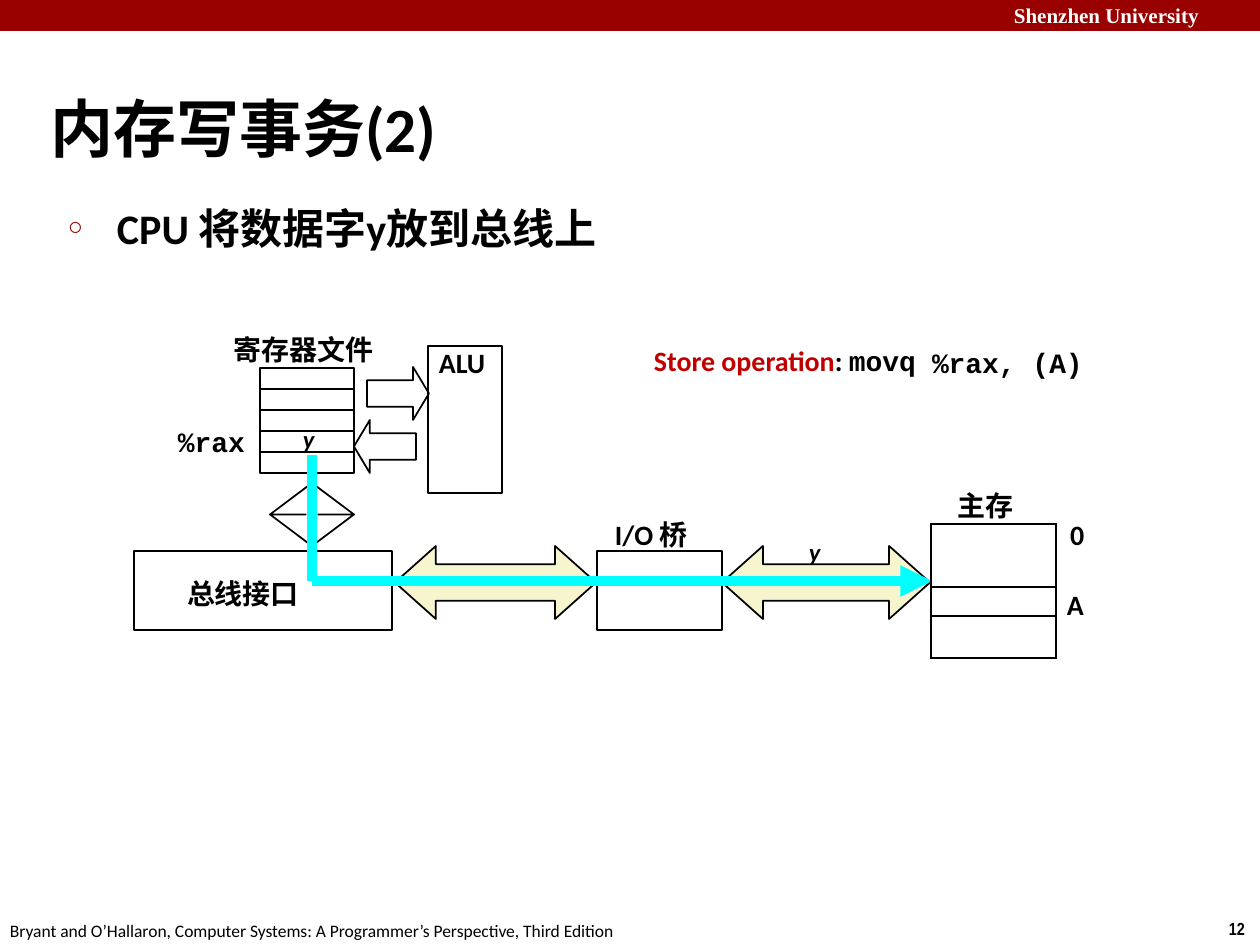
from lxml.etree import SubElement
from pptx import Presentation
from pptx.dml.color import RGBColor
from pptx.enum.shapes import MSO_CONNECTOR, MSO_SHAPE
from pptx.enum.text import MSO_ANCHOR, MSO_AUTO_SIZE, PP_ALIGN
from pptx.oxml import parse_xml
from pptx.oxml.ns import nsdecls, qn
from pptx.util import Emu, Pt

BLACK, WHITE, RED, CYAN, CREAM = "000000", "FFFFFF", "990000", "00FFFF", "F7F5CD"
CODE = "Courier New"


def px(length):
    return Emu(round(length * 914400 / 126))


def colour(value):
    return RGBColor.from_string(value)


class SlideBuilder:
    """Holds the style and the current slide, with a method for each kind of element."""

    def __init__(self, deck):
        self.font = "Calibri"
        self.page = deck.slides.add_slide(deck.slide_layouts[1])

    def place(self, box, left, top, width, height):
        box.left, box.top, box.width, box.height = map(px, (left, top, width, height))

    def frame(self, box, left=0, top=0, anchor=MSO_ANCHOR.TOP, wrap=True):
        frame = box.text_frame
        frame.auto_size = MSO_AUTO_SIZE.NONE
        frame.word_wrap = wrap
        frame.vertical_anchor = anchor
        frame.margin_left, frame.margin_top = px(left), px(top)
        frame.margin_right = frame.margin_bottom = 0
        return frame

    def set_text(self, para, text, size=16, font=None, fill=BLACK, bold=True, italic=False):
        para.text = text
        para.alignment = PP_ALIGN.LEFT
        para.space_before = Pt(0)
        para.font.name = font or self.font
        para.font.size = Pt(size)
        para.font.bold = bold
        para.font.italic = italic
        para.font.color.rgb = colour(fill)

    def title(self, text, *area):
        box = self.page.shapes.title
        self.place(box, *area)
        frame = self.frame(box, top=30, anchor=MSO_ANCHOR.MIDDLE)
        self.set_text(frame.paragraphs[0], text, size=36)

    def bullet(self, text, *area):
        box = self.page.placeholders[1]
        self.place(box, *area)
        para = self.frame(box).paragraphs[0]
        properties = para._p.get_or_add_pPr()
        properties.set("marL", str(px(51)))
        properties.set("indent", str(-px(49)))
        marker = SubElement(properties, qn("a:buClr"))
        SubElement(marker, qn("a:srgbClr"), val=RED)
        SubElement(properties, qn("a:buSzPct"), val="60000")
        SubElement(properties, qn("a:buChar"), char="○")
        self.set_text(para, text, size=24)

    def label(self, text, left, top, width, height, wrap=True, **style):
        box = self.page.shapes.add_textbox(*map(px, (left, top, width, height)))
        para = self.frame(box, wrap=wrap).paragraphs[0]
        self.set_text(para, text, **style)

    def mixed_label(self, spans, *area, size=16):
        box = self.page.shapes.add_textbox(*map(px, area))
        para = self.frame(box, wrap=False).paragraphs[0]
        para.font.size = Pt(size)
        para.font.bold = True
        for text, font, fill in spans:
            span = para.add_run()
            span.text = text
            span.font.name = font
            span.font.color.rgb = colour(fill)

    def shape(self, kind, left, top, width, height, fill=None, line=BLACK, adjust=()):
        box = self.page.shapes.add_shape(kind, *map(px, (left, top, width, height)))
        box.shadow.inherit = False
        for index, value in enumerate(adjust):
            box.adjustments[index] = value
        if fill:
            box.fill.solid()
            box.fill.fore_color.rgb = colour(fill)
        else:
            box.fill.background()
        if line:
            box.line.color.rgb = colour(line)
            box.line.width = Pt(1)
        else:
            box.line.fill.background()
        return box

    def rectangle(self, *area, **style):
        return self.shape(MSO_SHAPE.RECTANGLE, *area, **style)

    def bus_line(self, *ends, arrow=False):
        line = self.page.shapes.add_connector(MSO_CONNECTOR.STRAIGHT, *map(px, ends))
        line.line.color.rgb = colour(CYAN)
        line.line.width = Pt(6)
        if arrow:
            SubElement(line.line._get_or_add_ln(), qn("a:tailEnd"), type="triangle")
        SubElement(line._element.spPr, qn("a:effectLst"))

    def memory(self, left, top, width, heights):
        area = map(px, (left, top, width, sum(heights)))
        table = self.page.shapes.add_table(len(heights), 1, *area).table
        table.first_row = table.horz_banding = False
        for row, height in zip(table.rows, heights):
            row.height = px(height)
            cell = row.cells[0]
            cell.margin_top = cell.margin_bottom = 0
            cell.text_frame.paragraphs[0].font.size = Pt(10)
            properties = cell._tc.get_or_add_tcPr()
            for side in ("lnL", "lnR", "lnT", "lnB"):
                properties.append(parse_xml(
                    f'<a:{side} {nsdecls("a")} w="12700"><a:solidFill>'
                    f'<a:srgbClr val="{BLACK}"/></a:solidFill></a:{side}>'))
            cell.fill.background()


def main():
    deck = Presentation()
    deck.slide_width, deck.slide_height = px(1260), px(945)
    slide = SlideBuilder(deck)

    slide.rectangle(0, 0, 1260, 31, fill=RED, line=None)
    slide.label("Shenzhen University", 1014, 3, 240, 28,
                size=12, font="Times New Roman", fill=WHITE)
    slide.label("12", 1229, 918, 24, 22, wrap=False, size=10, font="Arial Narrow")
    slide.label("Bryant and O’Hallaron, Computer Systems: A Programmer’s Perspective, "
                "Third Edition", 10, 920, 616, 22, wrap=False, size=10, bold=False)
    slide.title("内存写事务(2)", 50, 59, 1046, 107)
    slide.bullet("CPU 将数据字y放到总线上", 66, 202, 667, 50)

    for left, width in ((722, 208), (395, 201)):
        slide.shape(MSO_SHAPE.LEFT_RIGHT_ARROW, left, 546, width, 73,
                    fill=CREAM, adjust=(0.5, 0.56))
    slide.rectangle(597, 551, 125, 79)
    for row in range(5):
        slide.rectangle(260, 368 + 21 * row, 94, 21)
    slide.shape(MSO_SHAPE.RIGHT_ARROW, 367, 367, 62, 53, adjust=(0.5, 0.3))
    slide.shape(MSO_SHAPE.LEFT_ARROW, 354, 420, 62, 53, adjust=(0.5, 0.3))
    slide.shape(MSO_SHAPE.UP_DOWN_ARROW, 270, 483, 84, 63, adjust=(0.5, 0.15))
    slide.rectangle(134, 551, 258, 79)
    alu = slide.rectangle(428, 346, 74, 147)
    slide.set_text(slide.frame(alu, left=11).paragraphs[0], "ALU")

    slide.bus_line(312, 455, 312, 581)
    slide.bus_line(312, 581, 932, 581, arrow=True)

    for left, top in ((303, 424), (809, 537)):
        slide.label("y", left, top, 16, 28, size=14, italic=True)
    for text, left, top, width in (
            ("0", 1070, 518, 18), ("A", 1067, 588, 21), ("寄存器文件", 234, 333, 154),
            ("总线接口", 187, 577, 155), ("主存", 958, 489, 77), ("I/O 桥", 615, 518, 91)):
        slide.label(text, left, top, width, 34)
    for text, left, top, width in (("%rax", 178, 425, 71), ("%rax, (A)", 932, 346, 193)):
        slide.label(text, left, top, width, 34, wrap=False, font=CODE)
    slide.mixed_label((("Store operation", slide.font, "C00000"), (": ", slide.font, BLACK),
                       ("movq", CODE, BLACK)), 654, 344, 265, 32)
    slide.memory(931, 524, 125, (63, 29, 42))
    deck.save("out.pptx")


if __name__ == "__main__":
    main()
